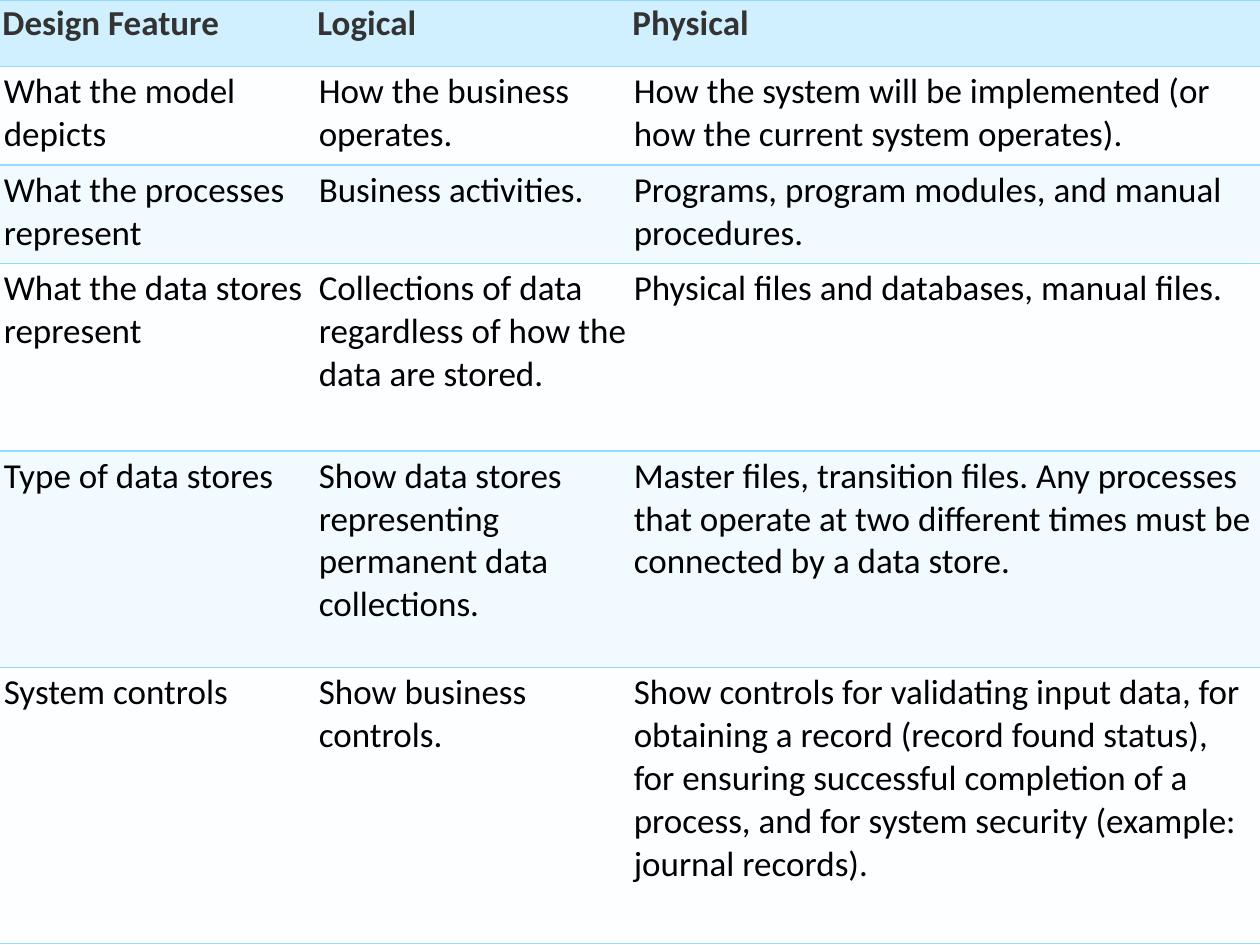
import pptx
import pptx.dml.color
import pptx.oxml
import pptx.oxml.ns
import pptx.util
from dataclasses import dataclass


@dataclass(frozen=True)
class Theme:
    font: str = "Calibri"
    size: int = 20
    header_text: str = "333333"
    body_text: str = "000000"
    header_fill: str = "D1F0FF"
    row_fills: tuple = ("F0FAFF", "FCFEFF")
    rule: str = "94DBFF"
    rule_width: float = 0.75


def rgb(value):
    return pptx.dml.color.RGBColor.from_string(value)


def set_borders(cell):
    width = pptx.util.Pt(theme.rule_width)
    rule = f'<a:solidFill><a:srgbClr val="{theme.rule}"/></a:solidFill>'
    edges = (("lnL", "<a:noFill/>"), ("lnR", "<a:noFill/>"), ("lnT", rule), ("lnB", rule))
    properties = cell._tc.get_or_add_tcPr()
    for position, (edge, paint) in enumerate(edges):
        border = pptx.oxml.parse_xml(
            f'<a:{edge} {pptx.oxml.ns.nsdecls("a")} w="{width}">{paint}</a:{edge}>'
        )
        properties.insert(position, border)


theme = Theme()
column_widths = (2.5, 2.5, 5)
feature_rows = (
    (0.53, ("Design Feature", "Logical", "Physical")),
    (0.78, (
        "What the model depicts",
        "How the business operates.",
        "How the system will be implemented (or how the current system operates).",
    )),
    (0.78, (
        "What the processes represent",
        "Business activities.",
        "Programs, program modules, and manual procedures.",
    )),
    (1.49, (
        "What the data stores represent",
        "Collections of data regardless of how the data are stored.",
        "Physical files and databases, manual files.",
    )),
    (1.72, (
        "Type of data stores",
        "Show data stores representing permanent data collections.",
        "Master files, transition files. Any processes that operate at two different "
        "times must be connected by a data store.",
    )),
    (2.19, (
        "System controls",
        "Show business controls.",
        "Show controls for validating input data, for obtaining a record (record found "
        "status), for ensuring successful completion of a process, and for system "
        "security (example: journal records).",
    )),
)

deck = pptx.Presentation()
deck.slide_width = pptx.util.Inches(10)
deck.slide_height = pptx.util.Inches(7.5)
slide = deck.slides.add_slide(deck.slide_layouts[6])

comparison = slide.shapes.add_table(
    len(feature_rows), len(column_widths), 0, 0, deck.slide_width, deck.slide_height
).table
comparison.first_row = False
comparison.horz_banding = False
for column, width in zip(comparison.columns, column_widths):
    column.width = pptx.util.Inches(width)

for row_number, (height, entries) in enumerate(feature_rows):
    is_header = row_number == 0
    fill = theme.header_fill if is_header else theme.row_fills[row_number % 2]
    inset = pptx.util.Inches(0.02 if is_header else 0.03)
    comparison.rows[row_number].height = pptx.util.Inches(height)
    for cell, entry in zip(comparison.rows[row_number].cells, entries):
        cell.margin_left = cell.margin_right = inset
        cell.margin_top = cell.margin_bottom = inset
        cell.fill.solid()
        cell.fill.fore_color.rgb = rgb(fill)
        set_borders(cell)
        cell.text_frame.text = entry
        font = cell.text_frame.paragraphs[0].runs[0].font
        font.name = theme.font
        font.size = pptx.util.Pt(theme.size)
        font.bold = is_header
        font.color.rgb = rgb(theme.header_text if is_header else theme.body_text)

deck.save("out.pptx")
